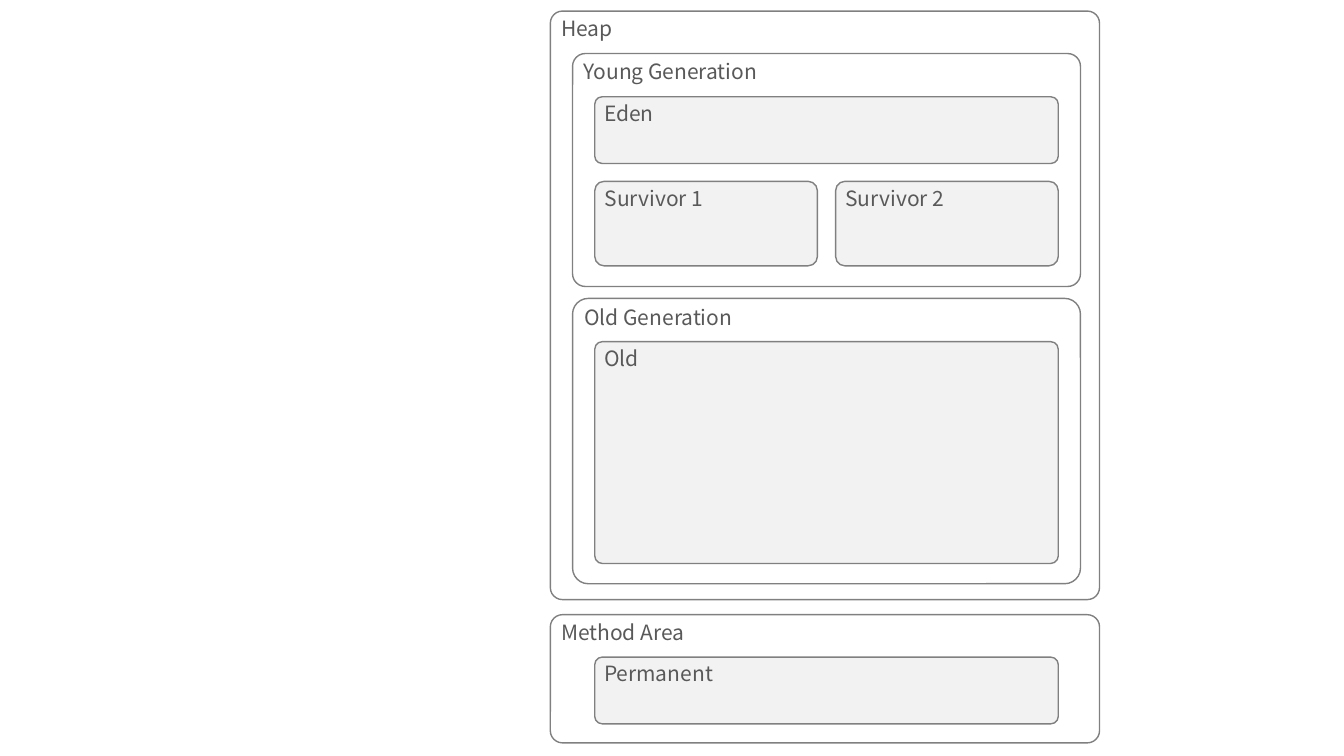
from pptx import Presentation
from pptx.dml.color import RGBColor
from pptx.enum.shapes import MSO_SHAPE
from pptx.enum.text import MSO_ANCHOR, PP_ALIGN
from pptx.util import Cm, Pt

ROUNDED = MSO_SHAPE.ROUNDED_RECTANGLE
TOP = MSO_ANCHOR.TOP
LEFT = PP_ALIGN.LEFT

WHITE = RGBColor(0xFF, 0xFF, 0xFF)
LIGHT_GRAY = RGBColor(0xF2, 0xF2, 0xF2)
BORDER_GRAY = RGBColor(0x80, 0x80, 0x80)
TEXT_GRAY = RGBColor(0x59, 0x59, 0x59)
FONT = "Noto Sans CJK KR"

prs = Presentation()
prs.slide_width = Cm(33.87)
prs.slide_height = Cm(19.05)
BLANK_LAYOUT = prs.slide_layouts[6]
slide = prs.slides.add_slide(BLANK_LAYOUT)

# Columns of the nested memory areas, in cm
AREA_X, AREA_W = 13.87, 13.84
GENERATION_X, GENERATION_W = 14.43, 12.8
SPACE_X, SPACE_W = 14.99, 11.68
SURVIVOR_W = 5.61
SURVIVOR_2_X = SPACE_X + SPACE_W - SURVIVOR_W

# Label, left, top, width, height, corner ratio, fill; from back to front
regions = [
    ("Method Area", AREA_X, 15.49, AREA_W, 3.23, 0.095, WHITE),
    ("Heap", AREA_X, 0.28, AREA_W, 14.83, 0.022, WHITE),
    ("Old Generation", GENERATION_X, 7.52, GENERATION_W, 7.19, 0.055, WHITE),
    ("Young Generation", GENERATION_X, 1.35, GENERATION_W, 5.87, 0.055, WHITE),
    ("Eden", SPACE_X, 2.44, SPACE_W, 1.68, 0.11, LIGHT_GRAY),
    ("Survivor 1", SPACE_X, 4.57, SURVIVOR_W, 2.13, 0.11, LIGHT_GRAY),
    ("Survivor 2", SURVIVOR_2_X, 4.57, SURVIVOR_W, 2.13, 0.11, LIGHT_GRAY),
    ("Old", SPACE_X, 8.61, SPACE_W, 5.59, 0.034, LIGHT_GRAY),
    ("Permanent", SPACE_X, 16.56, SPACE_W, 1.68, 0.11, LIGHT_GRAY),
]

# Memory regions with their labels in the top left corner
for label, left, top, width, height, corner, fill in regions:
    region = slide.shapes.add_shape(
        ROUNDED, Cm(left), Cm(top), Cm(width), Cm(height))
    region.adjustments[0] = corner
    region.shadow.inherit = False
    region.fill.solid()
    region.fill.fore_color.rgb = fill
    region.line.color.rgb = BORDER_GRAY
    region.line.width = Pt(1)

    frame = region.text_frame
    frame.vertical_anchor = TOP
    frame.margin_left = frame.margin_right = Cm(0.18)
    frame.margin_top = frame.margin_bottom = Cm(0.03)
    caption = frame.paragraphs[0]
    caption.text = label
    caption.alignment = LEFT
    caption.font.name = FONT
    caption.font.size = Pt(15)
    caption.font.color.rgb = TEXT_GRAY

prs.save("out.pptx")
